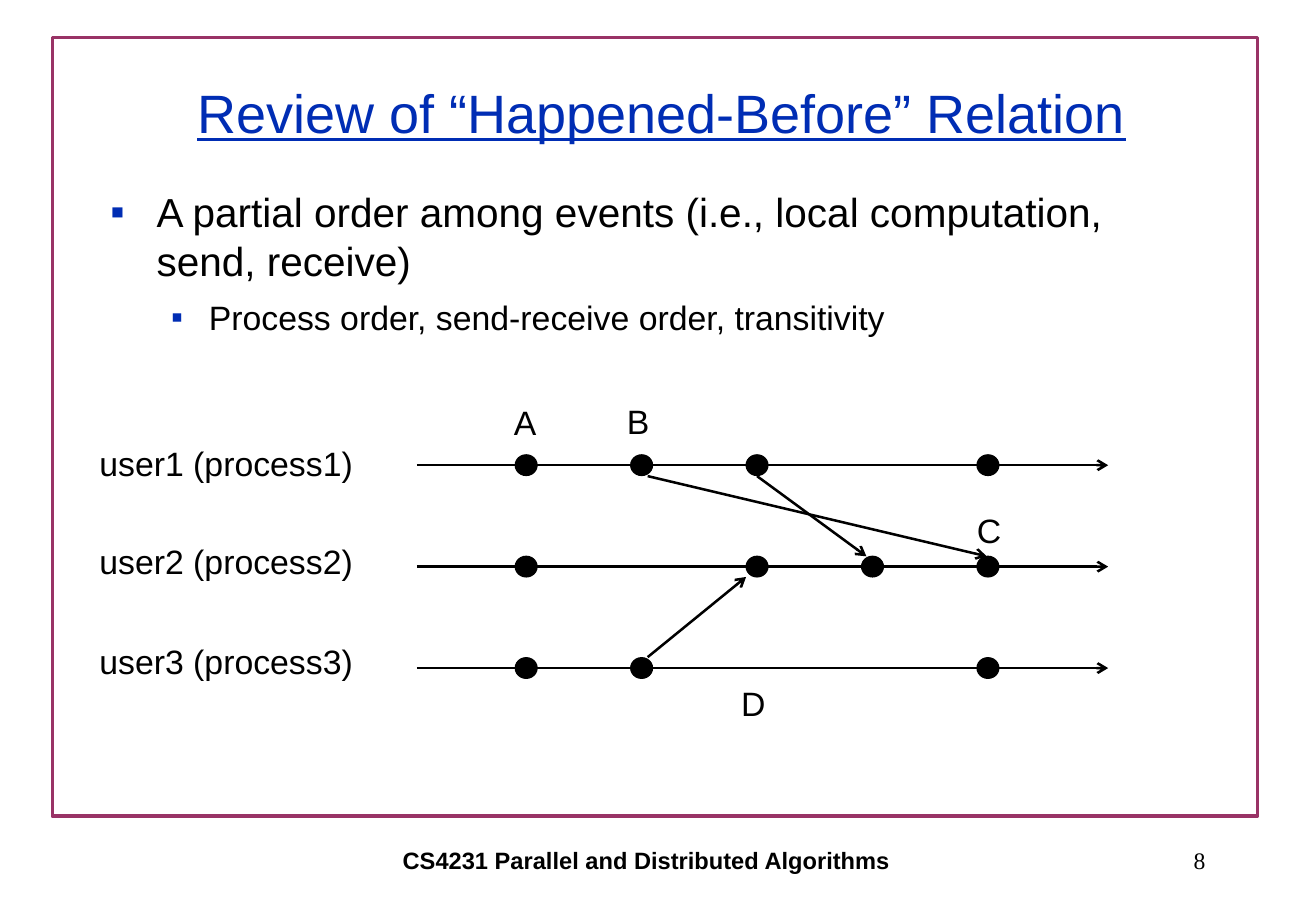
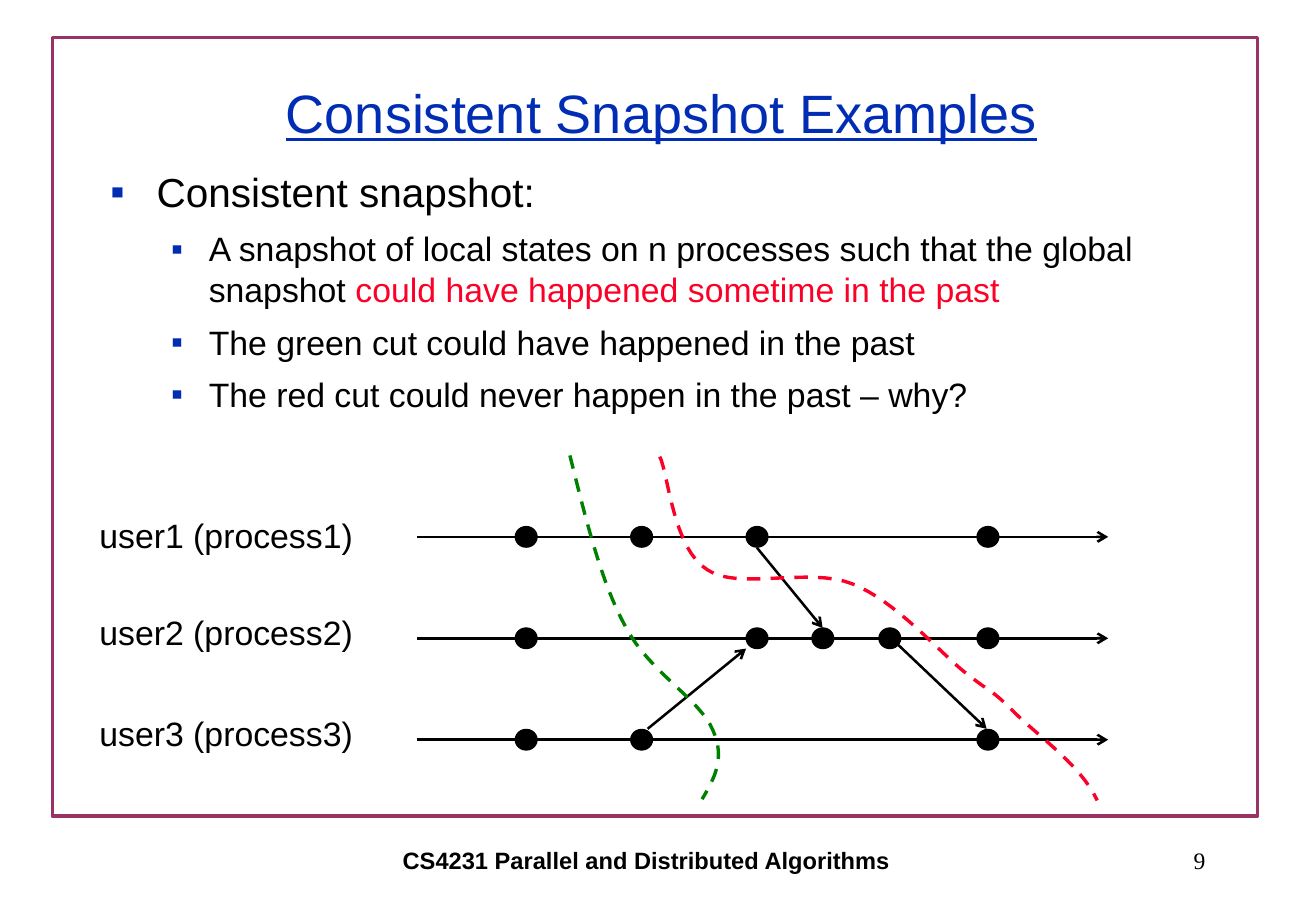
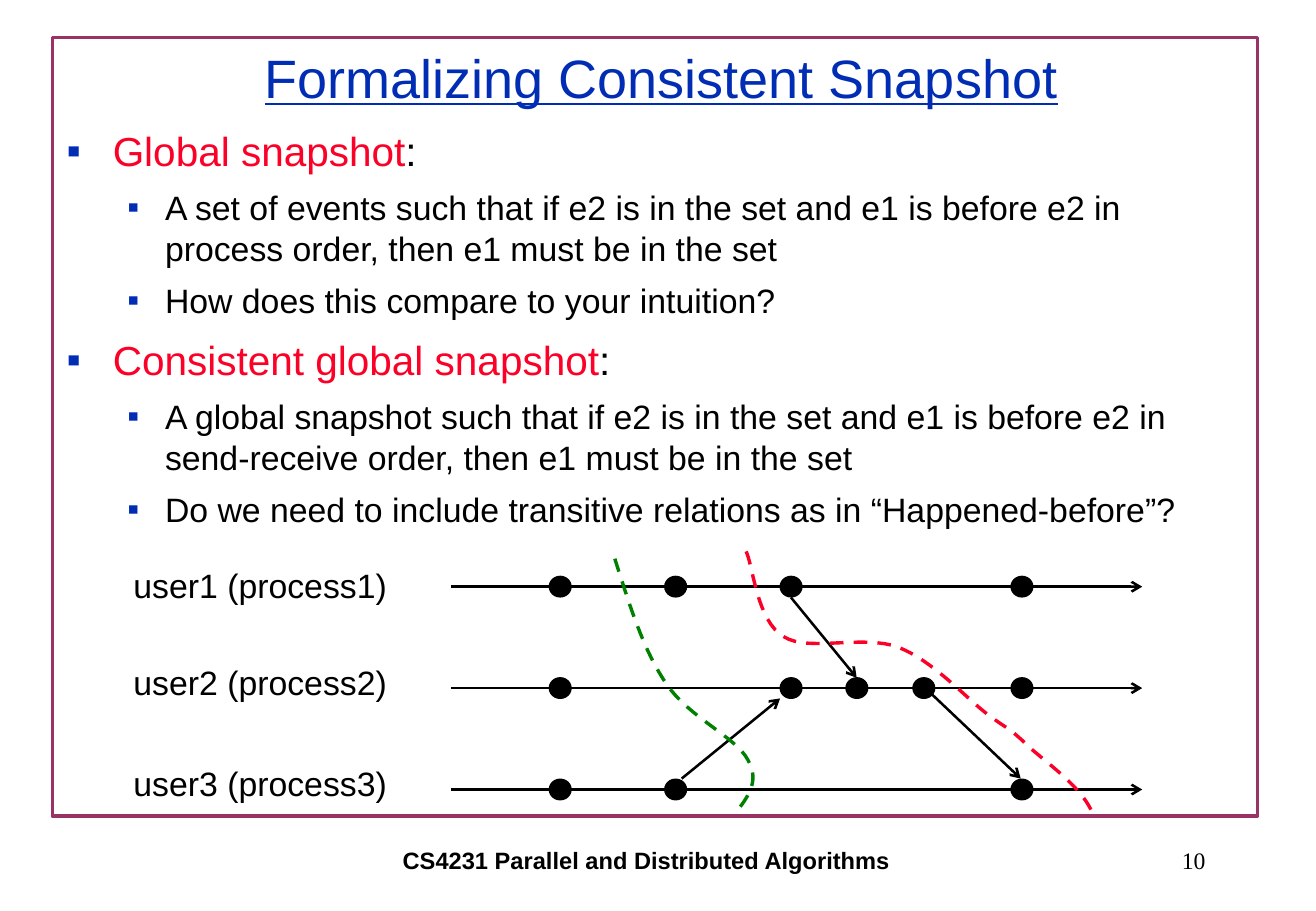
"""Builds three lecture slides on event order and consistent snapshots."""
from dataclasses import dataclass

from lxml.etree import SubElement
from pptx import Presentation
from pptx.dml.color import RGBColor
from pptx.enum.dml import MSO_LINE
from pptx.enum.shapes import MSO_CONNECTOR, MSO_SHAPE
from pptx.enum.text import MSO_ANCHOR, MSO_AUTO_SIZE, PP_ALIGN
from pptx.oxml.ns import qn
from pptx.util import Inches, Pt


@dataclass(frozen=True)
class Theme:
    ink: str = "000000"
    blue: str = "002DB4"
    red: str = "FC0128"
    green: str = "008000"
    plum: str = "993366"
    sans: str = "Arial"
    serif: str = "Times New Roman"
    title: int = 32
    levels: tuple = (24, 20)
    label: int = 20
    foot: int = 14
    indents: tuple = ((0.38, -0.38), (0.81, -0.31))
    gap: float = 0.36


THEME = Theme()
COURSE = "CS4231 Parallel and Distributed Algorithms"
ROW, COL, FIRST = 0.835, 0.95, 0.9
DOT = (0.18, 0.17)
USERS = (("user1 (process1)", -0.23), ("user2 (process2)", 0.57),
         ("user3 (process3)", 1.4))
RISE = ((1.9, 1.58), (2.71, 0.92))
ORDER = {
    "dots": ((0, 1, 2, 4), (0, 2, 3, 4), (0, 1, 4)),
    "sends": (((1.9, 0.09), (4.69, 0.75)), ((2.8, 0.09), (3.7, 0.75)), RISE),
}
CUTS = {
    "dots": ((0, 1, 2, 4), (0, 2, 2.57, 3.15, 4), (0, 1, 4)),
    "sends": (((2.8, 0.09), (3.34, 0.75)), ((3.9, 0.83), (4.69, 1.58)), RISE),
}
GREEN = ((0, 0), (0.1, 0.18), (0.2, 0.37), (0.36, 0.5), (0.51, 0.63),
         (0.84, 0.71), (0.92, 0.8), (1, 0.88), (0.93, 0.94), (0.85, 1))
RED = ((0, 0), (0.02, 0.05), (0.03, 0.27), (0.11, 0.33), (0.18, 0.39),
       (0.34, 0.32), (0.44, 0.37), (0.54, 0.42), (0.64, 0.57), (0.7, 0.63),
       (0.76, 0.69), (0.75, 0.67), (0.8, 0.73), (0.85, 0.8), (0.96, 0.89),
       (1, 1))


def rgb(code):
    return RGBColor.from_string(code)


def style(para, size, color=THEME.ink, name=THEME.sans):
    font = para.font
    font.size, font.name = Pt(size), name
    font.color.rgb = rgb(color)
    return font


def stroke(shape, color, width):
    shape.line.color.rgb = rgb(color)
    shape.line.width = Pt(width)


def add_text(slide, text, box, size, name=THEME.sans, align=PP_ALIGN.LEFT,
             anchor=MSO_ANCHOR.TOP, bold=False):
    frame = slide.shapes.add_textbox(*map(Inches, box)).text_frame
    frame.word_wrap = True
    frame.vertical_anchor = anchor
    para = frame.paragraphs[0]
    para.text, para.alignment = text, align
    style(para, size, name=name).bold = bold


def add_base(deck, title, top, number):
    slide = deck.slides.add_slide(deck.slide_layouts[5])
    edge = slide.shapes.add_shape(
        MSO_SHAPE.RECTANGLE, *map(Inches, (0.43, 0.31, 9.92, 6.41)))
    edge.shadow.inherit = False
    edge.fill.background()
    stroke(edge, THEME.plum, 2)

    head = slide.shapes.title
    head.left, head.top, head.width, head.height = map(
        Inches, (0.84, top, 9.21, 0.92))
    frame = head.text_frame
    frame.text = title
    frame.auto_size = MSO_AUTO_SIZE.NONE
    frame.vertical_anchor = MSO_ANCHOR.MIDDLE
    frame.paragraphs[0].alignment = PP_ALIGN.CENTER
    style(frame.paragraphs[0], THEME.title, THEME.blue).underline = True

    add_text(slide, COURSE, (1.53, 6.83, 7.58, 0.5), THEME.foot,
             align=PP_ALIGN.CENTER, anchor=MSO_ANCHOR.MIDDLE, bold=True)
    add_text(slide, str(number), (7.76, 6.83, 2.26, 0.5), THEME.foot,
             THEME.serif, PP_ALIGN.RIGHT, MSO_ANCHOR.MIDDLE)
    return slide


def add_mark(para, level):
    left, hang = THEME.indents[level]
    props = para._p.get_or_add_pPr()
    props.set("marL", str(Inches(left)))
    props.set("indent", str(Inches(hang)))
    tint = SubElement(props, qn("a:buClr"))
    SubElement(tint, qn("a:srgbClr"), val=THEME.blue)
    SubElement(props, qn("a:buFont"), typeface=THEME.sans)
    SubElement(props, qn("a:buChar"), char="▪")


def add_list(slide, box, items):
    """Each item is a level, then runs of text, or of text with a colour."""
    frame = slide.shapes.add_textbox(*map(Inches, box)).text_frame
    frame.word_wrap = True
    for index, (level, *runs) in enumerate(items):
        para = frame.add_paragraph() if index else frame.paragraphs[0]
        add_mark(para, level)
        para.level = level
        size = THEME.levels[level]
        para.space_before = Pt(round(size * THEME.gap, 1) if index else 0)
        style(para, size)
        for part in runs:
            text, color = part if isinstance(part, tuple) else (part, None)
            run = para.add_run()
            run.text = text
            if color:
                run.font.color.rgb = rgb(color)


def add_arrow(slide, start, end):
    line = slide.shapes.add_connector(
        MSO_CONNECTOR.STRAIGHT, *map(Inches, (*start, *end)))
    stroke(line, THEME.ink, 1.5)
    props = line.element.spPr
    SubElement(props.find(qn("a:ln")), qn("a:tailEnd"), type="arrow")
    SubElement(props, qn("a:effectLst"))


def add_dot(slide, x, y):
    wide, high = DOT
    dot = slide.shapes.add_shape(
        MSO_SHAPE.OVAL, *map(Inches, (x - wide / 2, y - high / 2, wide, high)))
    dot.shadow.inherit = False
    dot.fill.solid()
    dot.fill.fore_color.rgb = rgb(THEME.ink)
    stroke(dot, THEME.ink, 0.75)


def add_flow(slide, left, top, dots, sends):
    for row, ((user, drop), spots) in enumerate(zip(USERS, dots)):
        y = top + row * ROW
        add_text(slide, user, (left - 2.71, top + drop, 2.47, 0.43),
                 THEME.label)
        add_arrow(slide, (left, y), (left + 5.69, y))
        for spot in spots:
            add_dot(slide, left + FIRST + spot * COL, y)
    for ends in sends:
        add_arrow(slide, *((left + x, top + y) for x, y in ends))


def bend(nodes, steps=16):
    """Return points along joined cubic curves."""
    points = [nodes[0]]
    for first in range(0, len(nodes) - 1, 3):
        curve = nodes[first:first + 4]
        for step in range(1, steps + 1):
            t = step / steps
            u = 1 - t
            parts = (u ** 3, 3 * u * u * t, 3 * u * t * t, t ** 3)
            points.append(tuple(
                sum(part * node[axis] for part, node in zip(parts, curve))
                for axis in (0, 1)))
    return points


def add_cut(slide, nodes, box, color):
    left, top, wide, high = box
    points = [(Inches(left + x * wide), Inches(top + y * high))
              for x, y in bend(nodes)]
    build = slide.shapes.build_freeform(*points[0])
    build.add_line_segments(points[1:], close=False)
    cut = build.convert_to_shape()
    cut.shadow.inherit = False
    cut.fill.background()
    stroke(cut, color, 2)
    cut.line.dash_style = MSO_LINE.DASH


def add_cuts(slide, green, red):
    add_cut(slide, GREEN, green, THEME.green)
    add_cut(slide, RED, red, THEME.red)


def main():
    deck = Presentation()
    deck.slide_width, deck.slide_height = Inches(10.83), Inches(7.5)

    slide = add_base(deck, "Review of “Happened-Before” Relation", 0.46, 8)
    add_list(slide, (0.81, 1.49, 9.21, 1.59), (
        (0, "A partial order among events (i.e., local computation, "
            "send, receive)"),
        (1, "Process order, send-receive order, transitivity"),
    ))
    add_flow(slide, 3.43, 3.83, **ORDER)
    for name, x, y in (("A", 4.13, 3.26), ("B", 5.06, 3.25),
                       ("C", 7.94, 4.15), ("D", 6, 5.57)):
        add_text(slide, name, (x, y, 0.44, 0.43), THEME.label)

    slide = add_base(deck, "Consistent Snapshot Examples", 0.46, 9)
    add_list(slide, (0.81, 1.33, 9.21, 2.26), (
        (0, "Consistent snapshot:"),
        (1, "A snapshot of local states on n processes such that the global "
            "snapshot ",
         ("could have happened sometime in the past", THEME.red)),
        (1, "The green cut could have happened in the past"),
        (1, "The red cut could never happen in the past – why?"),
    ))
    add_flow(slide, 3.43, 4.42, **CUTS)
    add_cuts(slide, (4.69, 3.75, 1.28, 2.83), (5.43, 3.76, 3.6, 2.83))

    slide = add_base(deck, "Formalizing Consistent Snapshot", 0.17, 10)
    add_list(slide, (0.45, 0.99, 9.93, 3.5), (
        (0, ("Global snapshot", THEME.red), ":"),
        (1, "A set of events such that if e2 is in the set and e1 is before "
            "e2 in process order, then e1 must be in the set"),
        (1, "How does this compare to your intuition?"),
        (0, ("Consistent global snapshot", THEME.red), ":"),
        (1, "A global snapshot such that if e2 is in the set and e1 is before "
            "e2 in send-receive order, then e1 must be in the set"),
        (1, "Do we need to include transitive relations as in "
            "“Happened-before”?"),
    ))
    add_flow(slide, 3.71, 4.83, **CUTS)
    add_cuts(slide, (5.06, 4.6, 1.19, 2.07), (6.14, 4.54, 2.84, 2.13))

    deck.save("out.pptx")


if __name__ == "__main__":
    main()
